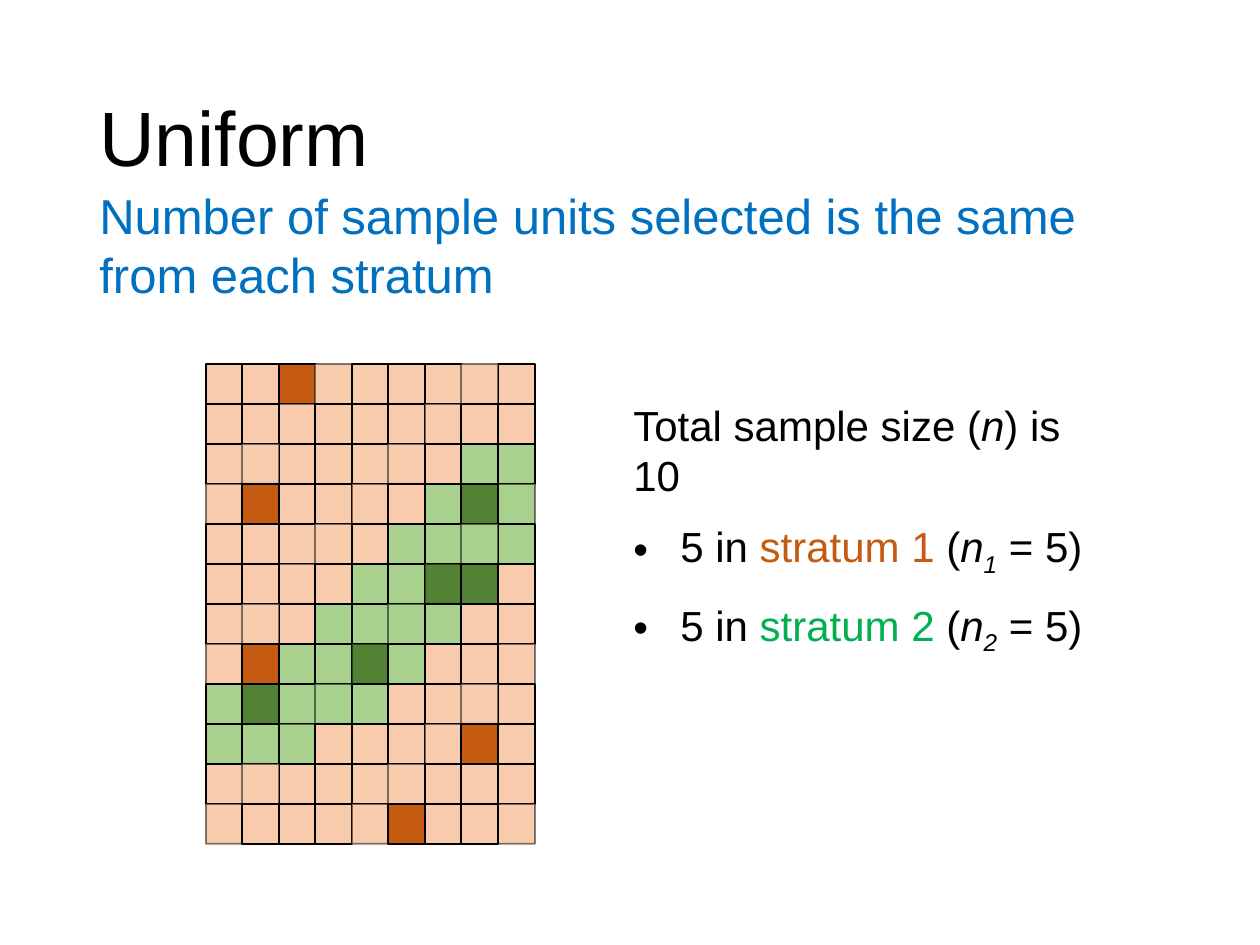
from lxml.etree import SubElement
from pptx import Presentation
from pptx.dml.color import RGBColor
from pptx.enum.shapes import MSO_SHAPE as Shape
from pptx.enum.text import MSO_ANCHOR as Anchor, MSO_AUTO_SIZE as AutoSize
from pptx.oxml.ns import qn
from pptx.util import Pt

PX = 914400 // 126
BLACK, BLUE, GREEN, ORANGE = "000000", "0070C0", "00B050", "C55A11"
UNIT_FILLS = {"a": "F8CBAD", "A": ORANGE, "b": "A9D18E", "B": "548235"}
STRATA_MAP = [
    "aaAaaaaaa",
    "aaaaaaaaa",
    "aaaaaaabb",
    "aAaaaabBb",
    "aaaaabbbb",
    "aaaabbBBa",
    "aaabbbbaa",
    "aAbbBbaaa",
    "bBbbbaaaa",
    "bbbaaaaAa",
    "aaaaaaaaa",
    "aaaaaAaaa",
]
COLUMN_ORDER = [0, 8, 2, 1, 3, 4, 5, 6, 7]


def rgb(value):
    return RGBColor.from_string(value)


class SlideBuilder:
    font = "Arial"

    def __init__(self, slide):
        self.slide = slide

    def text_box(self, x, y, w, h, anchor=Anchor.TOP, grow=True):
        box = self.slide.shapes.add_textbox(x * PX, y * PX, w * PX, h * PX)
        frame = box.text_frame
        frame.word_wrap = True
        frame.vertical_anchor = anchor
        frame.auto_size = AutoSize.SHAPE_TO_FIT_TEXT if grow else AutoSize.NONE
        return frame

    def run(self, paragraph, text, size, color=BLACK, italic=False, baseline=0):
        run = paragraph.add_run()
        run.text = text
        run.font.name = self.font
        run.font.size = Pt(size)
        run.font.italic = italic
        run.font.color.rgb = rgb(color)
        if baseline:
            run.font._element.set("baseline", str(baseline * 1000))

    def bullet(self, paragraph, indent):
        props = paragraph._p.get_or_add_pPr()
        props.set("marL", str(indent * PX))
        props.set("indent", str(-indent * PX))
        SubElement(props, qn("a:buFont"), typeface=self.font)
        SubElement(props, qn("a:buChar"), char="•")

    def unit(self, x, y, w, h, fill, faded):
        square = self.slide.shapes.add_shape(
            Shape.RECTANGLE, x * PX, y * PX, w * PX, h * PX)
        square.shadow.inherit = False
        square.fill.solid()
        square.fill.fore_color.rgb = rgb(fill)
        square.line.width = Pt(1)
        square.line.color.rgb = rgb(BLACK)
        if faded:
            color = square.line._ln.find(".//" + qn("a:srgbClr"))
            SubElement(color, qn("a:alpha"), val="50000")


def main():
    deck = Presentation()
    deck.slide_width, deck.slide_height = 1260 * PX, 945 * PX
    builder = SlideBuilder(deck.slides.add_slide(deck.slide_layouts[6]))

    title = builder.text_box(87, 50, 1086, 183, Anchor.MIDDLE, grow=False).paragraphs[0]
    title.line_spacing = 0.9
    builder.run(title, "Uniform", 44)

    for row, units in enumerate(STRATA_MAP):
        for column in COLUMN_ORDER:
            builder.unit(206 + column * 73 // 2, 364 + row * 40, 37, 40,
                         UNIT_FILLS[units[column]], (row + column) % 4 == 3)

    allocation = builder.text_box(621, 393, 503, 208)
    total = allocation.paragraphs[0]
    total.space_after = Pt(12)
    builder.run(total, "Total sample size (", 24)
    builder.run(total, "n", 24, italic=True)
    builder.run(total, ") is 10", 24)
    for stratum, color in (("1", ORANGE), ("2", GREEN)):
        share = allocation.add_paragraph()
        share.space_after = Pt(12)
        builder.bullet(share, 47)
        builder.run(share, "5 in ", 24)
        builder.run(share, f"stratum {stratum}", 24, color)
        builder.run(share, " (", 24)
        builder.run(share, "n", 24, italic=True)
        builder.run(share, stratum, 24, italic=True, baseline=-25)
        builder.run(share, " = 5)", 24)

    definition = builder.text_box(87, 179, 1095, 131).paragraphs[0]
    definition.space_after = Pt(12)
    builder.run(definition,
                "Number of sample units selected is the same from each stratum",
                28, BLUE)

    deck.save("out.pptx")


if __name__ == "__main__":
    main()
